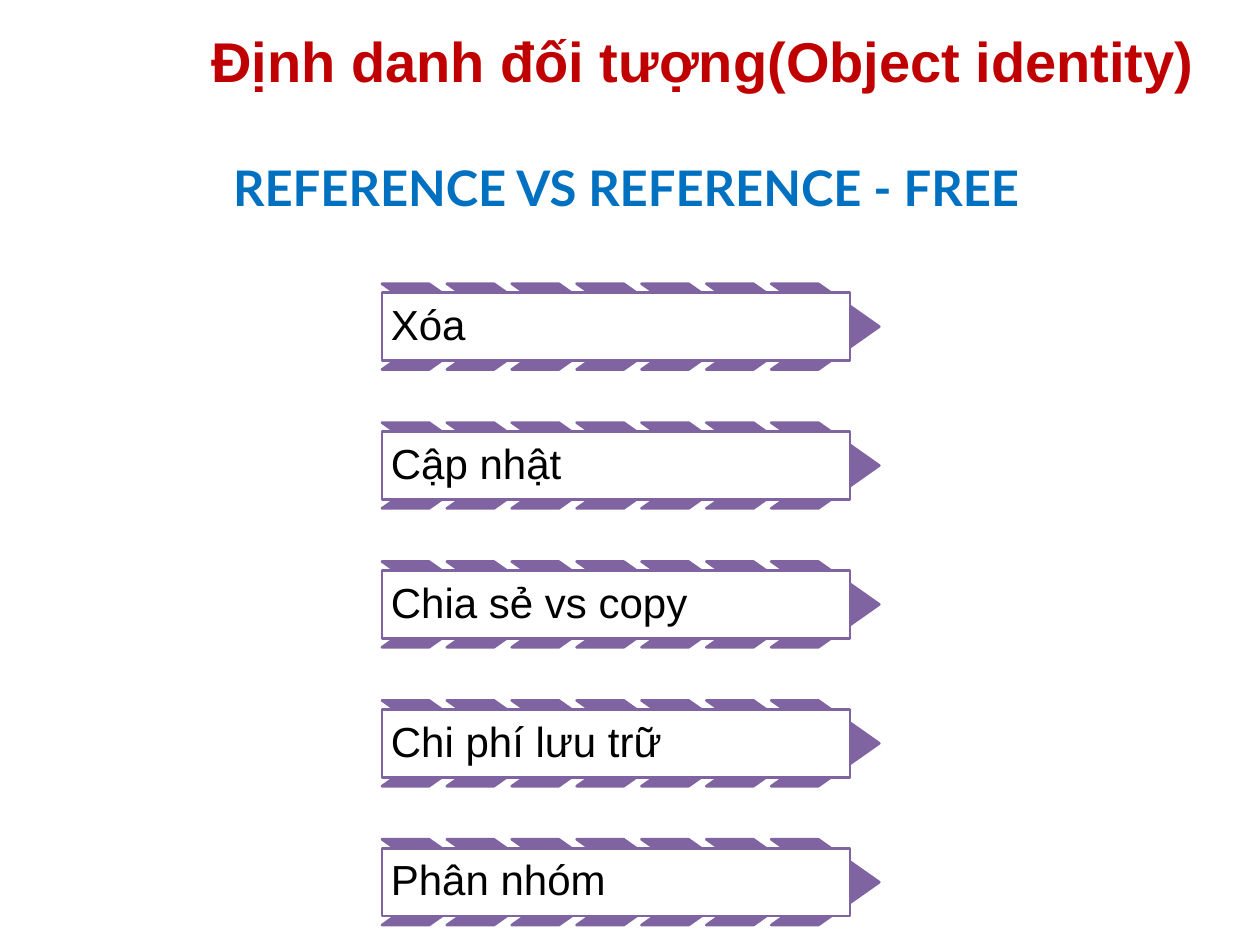
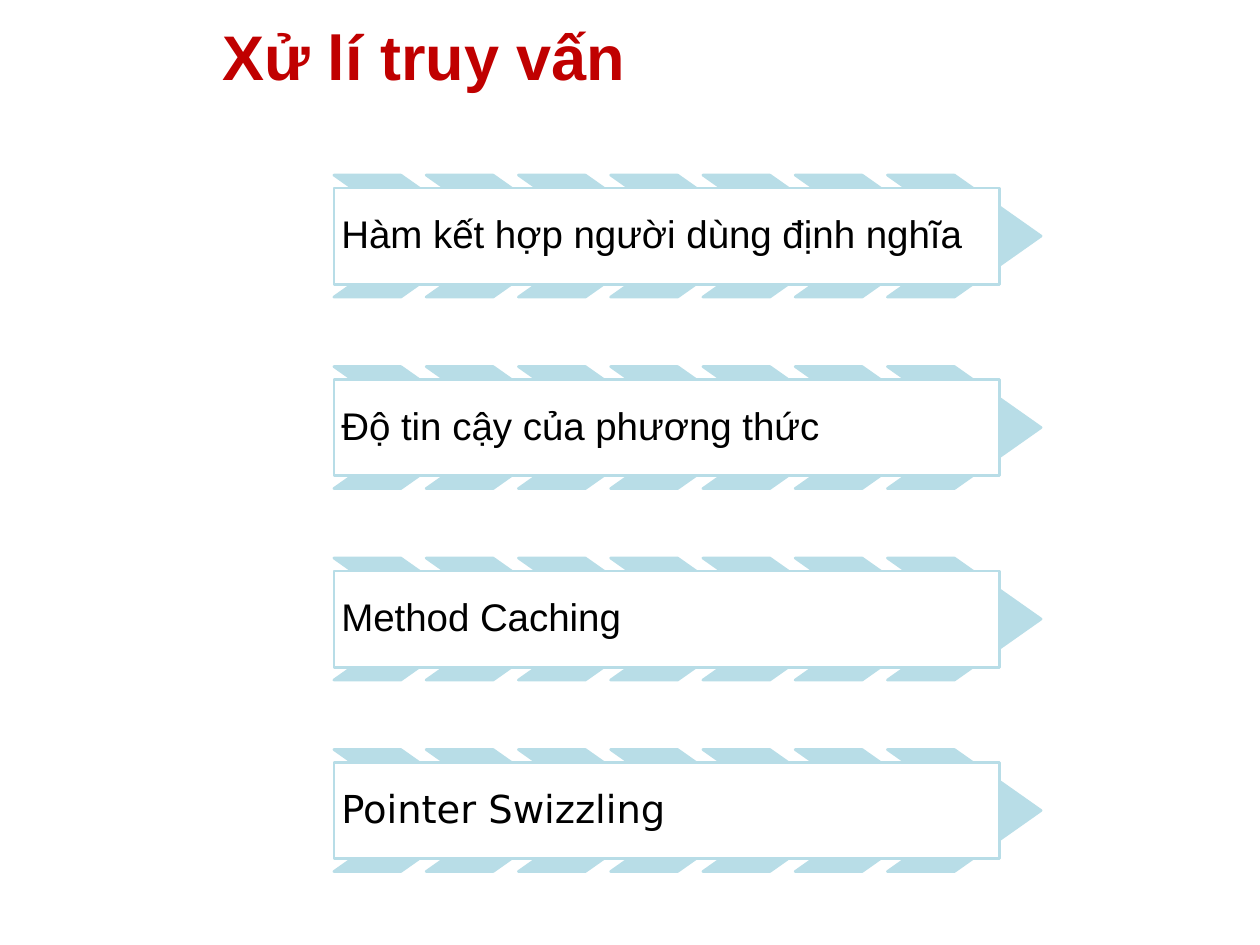
import pptx
import pptx.util
import pptx.dml.color
import pptx.enum.shapes
import pptx.enum.text

Cm, Pt = pptx.util.Cm, pptx.util.Pt
SHAPE = pptx.enum.shapes.MSO_SHAPE
MIDDLE = pptx.enum.text.MSO_ANCHOR.MIDDLE
LEFT = pptx.enum.text.PP_ALIGN.LEFT

COLORS = {
    "title": "C00000",
    "subtitle": "0070C0",
    "text": "000000",
    "bar": "FFFFFF",
    "purple": "8064A2",
    "aqua": "B8DDE7",
}
FONT = "Arial"
CHEVRONS_PER_ROW = 7


def rgb(name):
    return pptx.dml.color.RGBColor.from_string(COLORS[name])


def add_run(p, text, size, color, font=FONT, bold=False):
    r = p.add_run()
    r.text = text
    r.font.size = Pt(size)
    r.font.name = font
    r.font.bold = bold
    r.font.color.rgb = rgb(color)


def add_titled_slide(prs, text, left, height, size):
    s = prs.slides.add_slide(prs.slide_layouts.get_by_name("Title Only"))
    title = s.shapes.title
    title.left, title.top = Cm(left), Cm(0)
    title.width, title.height = Cm(21.59), Cm(height)
    tf = title.text_frame
    tf.auto_size = pptx.enum.text.MSO_AUTO_SIZE.NONE
    tf.vertical_anchor = MIDDLE
    p = tf.paragraphs[0]
    p.alignment = LEFT
    add_run(p, text, size, "title", bold=True)
    return s


def add_subtitle(s, text):
    box = s.shapes.add_textbox(Cm(4.45), Cm(3.05), Cm(17.8), Cm(1.45))
    tf = box.text_frame
    tf.word_wrap = True
    add_run(tf.paragraphs[0], text, 28, "subtitle", "Lato", True)


def add_block(group, kind, left, top, width, height, fill, line):
    sp = group.shapes.add_shape(kind, Cm(left), Cm(top), Cm(width), Cm(height))
    sp.shadow.inherit = False
    sp.fill.solid()
    sp.fill.fore_color.rgb = rgb(fill)
    sp.line.color.rgb = rgb(line)
    sp.line.width = Pt(1.5)
    return sp


def add_arrow_row(s, text, left, top, height, color, size, inset, font):
    """Draw a labelled bar over a run of chevrons; all sizes follow the height."""
    group = s.shapes.add_group_shape()
    width = 1.26 * height
    for i in range(CHEVRONS_PER_ROW):
        chevron = add_block(group, SHAPE.CHEVRON, left + i * 0.6 * width, top,
                            width, height, color, color)
        chevron.adjustments[0] = 0.71
    bar_height = 0.79 * height
    bar = add_block(group, SHAPE.RECTANGLE, left, top + (height - bar_height) / 2,
                    4.33 * width, bar_height, "bar", color)
    tf = bar.text_frame
    tf.word_wrap = True
    tf.vertical_anchor = MIDDLE
    tf.margin_left = tf.margin_right = tf.margin_top = tf.margin_bottom = Cm(inset)
    p = tf.paragraphs[0]
    p.alignment = LEFT
    p.line_spacing = 0.9
    add_run(p, text, size, "text", font)


def add_arrow_list(s, labels, left, top, pitch, height, color, size, inset):
    for i, (text, font) in enumerate(labels):
        add_arrow_row(s, text, left, top + i * pitch, height, color, size, inset, font)


def main():
    prs = pptx.Presentation()
    prs.slide_width, prs.slide_height = Cm(25.4), Cm(19.05)

    s = add_titled_slide(prs, "Định danh đối tượng(Object identity)", 4.01, 2.41, 32)
    add_subtitle(s, "REFERENCE VS REFERENCE - FREE")
    criteria = ["Xóa", "Cập nhật", "Chia sẻ vs copy", "Chi phí lưu trữ", "Phân nhóm"]
    add_arrow_list(s, [(text, FONT) for text in criteria], left=7.7, top=5.72,
                   pitch=2.8, height=1.73, color="purple", size=24, inset=0.18)

    s = add_titled_slide(prs, "Xử lí truy vấn", 4.24, 2.21, 36)
    query_topics = [
        ("Hàm kết hợp người dùng định nghĩa", FONT),
        ("Độ tin cậy của phương thức", FONT),
        ("Method Caching", FONT),
        ("Pointer Swizzling", "DejaVu Sans"),
    ]
    add_arrow_list(s, query_topics, left=6.73, top=3.53,
                   pitch=3.86, height=2.46, color="aqua", size=22, inset=0.15)

    prs.save("out.pptx")


if __name__ == "__main__":
    main()
